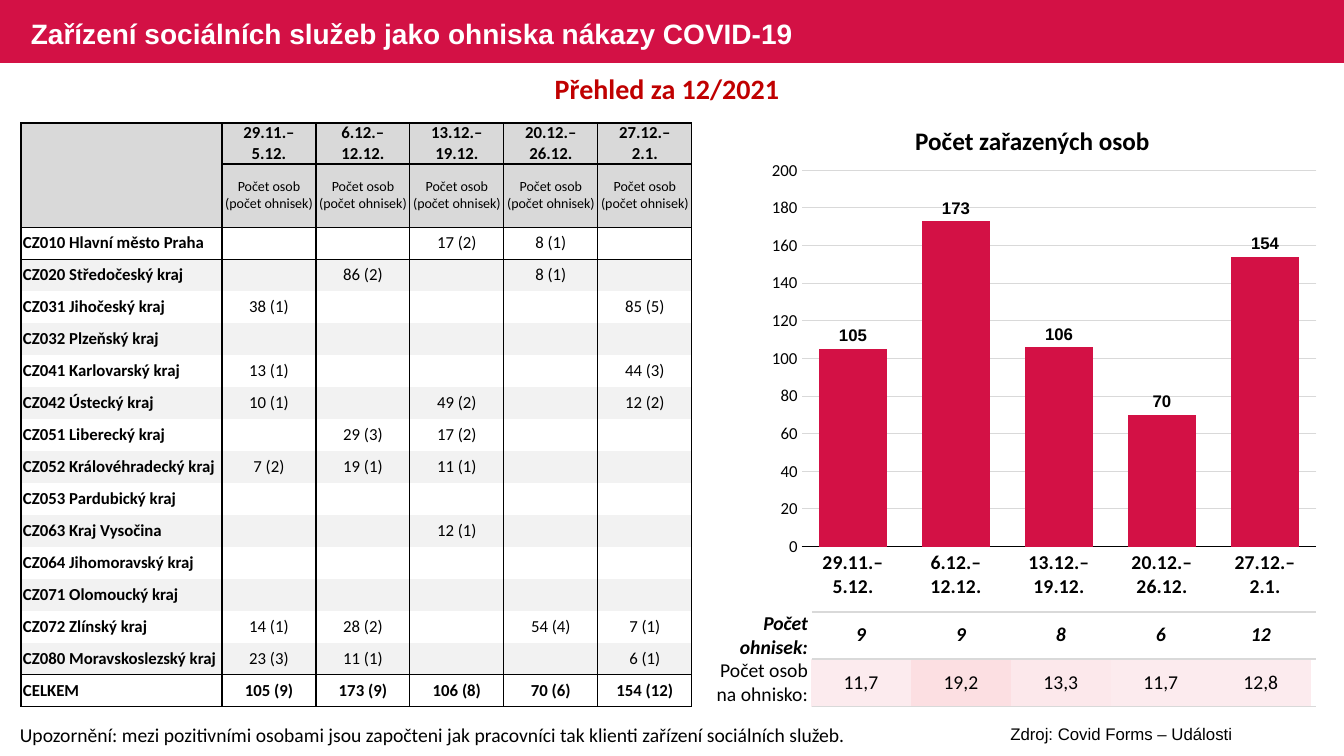
from lxml import etree
from pptx import Presentation
from pptx.chart.data import CategoryChartData
from pptx.dml.color import RGBColor
from pptx.enum.chart import XL_CHART_TYPE as CT, XL_LABEL_POSITION as LP, XL_TICK_MARK as TM
from pptx.enum.shapes import MSO_SHAPE
from pptx.enum.text import MSO_ANCHOR as ANCHOR, PP_ALIGN as AL
from pptx.oxml import parse_xml
from pptx.oxml.ns import nsdecls, qn
from pptx.util import Pt

PX = 914400 * 10 // 1008
RED = RGBColor(0xD3, 0x11, 0x45)
DARK_RED = RGBColor(0xC0, 0x00, 0x00)
BLACK = RGBColor(0x00, 0x00, 0x00)
WHITE = RGBColor(0xFF, 0xFF, 0xFF)
HEAD = RGBColor(0xD9, 0xD9, 0xD9)
BAND = RGBColor(0xF2, 0xF2, 0xF2)
PINK = RGBColor(0xFC, 0xEB, 0xEE)
PINK_MID = RGBColor(0xFC, 0xE8, 0xEB)
PINK_DEEP = RGBColor(0xFC, 0xDF, 0xE2)

prs = Presentation()
prs.slide_width, prs.slide_height = 12192000, 6858000
s = prs.slides.add_slide(prs.slide_layouts[6])


def add_grid(x, y, widths, heights):
    frame = s.shapes.add_table(len(heights), len(widths), x * PX, y * PX,
                               sum(widths) * PX, sum(heights) * PX)
    table = frame.table
    table.first_row = table.horz_banding = False
    table._tbl.tblPr.find(qn("a:tableStyleId")).text = "{2D5ABB26-0587-4C30-8999-92F81FD0307C}"
    for col, width in zip(table.columns, widths):
        col.width = width * PX
    for row, height in zip(table.rows, heights):
        row.height = height * PX
    return table


def write(cell, text, size, bold=False, italic=False, align=AL.CENTER,
          margins=(1, 1), fill=None, edges=None, edge_color=BLACK):
    cell.vertical_anchor = ANCHOR.MIDDLE
    cell.margin_left, cell.margin_right = margins[0] * PX, margins[1] * PX
    cell.margin_top = cell.margin_bottom = 0
    p = cell.text_frame.paragraphs[0]
    p.text = text
    p.alignment = align
    p.font.size, p.font.name = Pt(size), "Calibri"
    p.font.bold, p.font.italic = bold, italic
    p.font.color.rgb = BLACK
    if fill is None:
        cell.fill.background()
    else:
        cell.fill.solid()
        cell.fill.fore_color.rgb = fill
    tcPr = cell._tc.get_or_add_tcPr()
    sides = [side for side in "LRTB" if (edges or {}).get(side)]
    for i, side in enumerate(sides):
        tcPr.insert(i, parse_xml(
            f'<a:ln{side} {nsdecls("a")} w="{Pt(edges[side])}"><a:solidFill>'
            f'<a:srgbClr val="{edge_color}"/></a:solidFill></a:ln{side}>'))


band = s.shapes.add_shape(MSO_SHAPE.RECTANGLE, 0, 0, prs.slide_width, 63 * PX)
band.shadow.inherit = False
band.fill.solid()
band.fill.fore_color.rgb = RED
band.line.fill.background()

texts = [
    (21, 2, 820, 63, "Zařízení sociálních služeb jako ohniska nákazy COVID-19",
     20, "Arial", WHITE, True, AL.LEFT, ANCHOR.MIDDLE),
    (21, 67, 1292, 44, "Přehled za 12/2021",
     20, "Calibri", DARK_RED, True, AL.CENTER, ANCHOR.TOP),
    (762, 120, 541, 40, "Počet zařazených osob",
     18, "Calibri", BLACK, True, AL.CENTER, ANCHOR.TOP),
    (10, 718, 859, 34, "Upozornění: mezi pozitivními osobami jsou započteni jak pracovníci "
     "tak klienti zařízení sociálních služeb.",
     14, "Calibri", BLACK, False, AL.LEFT, ANCHOR.TOP),
    (910, 719, 423, 30, "Zdroj: Covid Forms – Události",
     12, "Arial", BLACK, False, AL.CENTER, ANCHOR.TOP),
]
for x, y, w, h, text, size, font, color, bold, align, anchor in texts:
    tf = s.shapes.add_textbox(x * PX, y * PX, w * PX, h * PX).text_frame
    tf.word_wrap = True
    tf.vertical_anchor = anchor
    p = tf.paragraphs[0]
    p.text = text
    p.alignment = align
    p.font.size, p.font.name, p.font.bold = Pt(size), font, bold
    p.font.color.rgb = color

weeks = ["29.11.–\n5.12.", "6.12.–\n12.12.", "13.12.–\n19.12.", "20.12.–\n26.12.", "27.12.–\n2.1."]
regions = [
    ("CZ010 Hlavní město Praha", "", "", "17 (2)", "8 (1)", ""),
    ("CZ020 Středočeský kraj", "", "86 (2)", "", "8 (1)", ""),
    ("CZ031 Jihočeský kraj", "38 (1)", "", "", "", "85 (5)"),
    ("CZ032 Plzeňský kraj", "", "", "", "", ""),
    ("CZ041 Karlovarský kraj", "13 (1)", "", "", "", "44 (3)"),
    ("CZ042 Ústecký kraj", "10 (1)", "", "49 (2)", "", "12 (2)"),
    ("CZ051 Liberecký kraj", "", "29 (3)", "17 (2)", "", ""),
    ("CZ052 Královéhradecký kraj", "7 (2)", "19 (1)", "11 (1)", "", ""),
    ("CZ053 Pardubický kraj", "", "", "", "", ""),
    ("CZ063 Kraj Vysočina", "", "", "12 (1)", "", ""),
    ("CZ064 Jihomoravský kraj", "", "", "", "", ""),
    ("CZ071 Olomoucký kraj", "", "", "", "", ""),
    ("CZ072 Zlínský kraj", "14 (1)", "28 (2)", "", "54 (4)", "7 (1)"),
    ("CZ080 Moravskoslezský kraj", "23 (3)", "11 (1)", "", "", "6 (1)"),
    ("CELKEM", "105 (9)", "173 (9)", "106 (8)", "70 (6)", "154 (12)"),
]
rows = [["", *weeks], [""] + ["Počet osob (počet ohnisek)"] * 5, *regions]
last = len(rows) - 1
table = add_grid(21, 123, [201] + [94] * 5, [41, 63] + [32] * len(regions))
for r, row in enumerate(rows):
    fill = HEAD if r < 2 else BAND if r % 2 and r < last else None
    for c, text in enumerate(row):
        rules = {0: 1, 1: 1 if c else 0, 2: 0.5, last: 1, last + 1: 1}
        write(table.cell(r, c), text, 10 if r == 1 else 12,
              bold=r in (0, last) or c == 0,
              align=AL.CENTER if c else AL.LEFT,
              margins=(1, 1) if c else (2, 2), fill=fill,
              edges={"L": 1, "R": 1, "T": rules.get(r), "B": rules.get(r + 1)})

data = CategoryChartData()
data.categories = weeks
data.add_series("Počet zařazených osob", (105, 173, 106, 70, 154))
chart = s.shapes.add_chart(CT.COLUMN_CLUSTERED, 762 * PX, 152 * PX, 566 * PX, 459 * PX, data).chart
chart.has_legend = chart.has_title = False
chart.font.name, chart.font.size, chart.font.bold = "Arial", Pt(14), True
chart.font.color.rgb = BLACK
plot = chart.plots[0]
plot.gap_width = 50
plot.vary_by_categories = False
bars = plot.series[0].format.fill
bars.solid()
bars.fore_color.rgb = RED
plot.has_data_labels = True
labels = plot.data_labels
labels.show_value = True
labels.position = LP.OUTSIDE_END
labels.font.name, labels.font.size, labels.font.bold = "Arial", Pt(12), True
labels.font.color.rgb = BLACK
for axis, size, bold in ((chart.category_axis, 14, True), (chart.value_axis, 12, False)):
    axis.major_tick_mark = axis.minor_tick_mark = TM.NONE
    font = axis.tick_labels.font
    font.name, font.size, font.bold = "Calibri", Pt(size), bold
    font.color.rgb = BLACK
chart.category_axis.format.line.color.rgb = BLACK
chart.category_axis.format.line.width = Pt(0.75)
values = chart.value_axis
values.minimum_scale, values.maximum_scale, values.major_unit = 0, 200, 20
values.format.line.fill.background()
values.major_gridlines.format.line.color.rgb = HEAD
values.major_gridlines.format.line.width = Pt(0.75)
area = chart._chartSpace.chart.plotArea
for old in area.findall(qn("c:layout")):
    area.remove(old)
layout = etree.Element(qn("c:layout"))
manual = etree.SubElement(layout, qn("c:manualLayout"))
for tag, val in (("layoutTarget", "inner"), ("xMode", "edge"), ("yMode", "edge"),
                 ("x", "0.07"), ("y", "0.04"), ("w", "0.91"), ("h", "0.82")):
    etree.SubElement(manual, qn("c:" + tag)).set("val", val)
area.insert(0, layout)

outbreaks = ["9", "9", "8", "6", "12"]
ratios = ["11,7", "19,2", "13,3", "11,7", "12,8"]
tints = [PINK, PINK_DEEP, PINK_MID, PINK, PINK]
summary = add_grid(811, 611, [100] * 5, [48, 48])
for c, (outbreak, ratio, tint) in enumerate(zip(outbreaks, ratios, tints)):
    write(summary.cell(0, c), outbreak, 14, bold=True, italic=True)
    write(summary.cell(1, c), ratio, 14, fill=tint)

captions = add_grid(710, 612, [102] + [72] * 7, [47, 47])
for r, caption in enumerate(["Počet ohnisek:", "Počet osob na ohnisko:"]):
    write(captions.cell(r, 0), caption, 14, bold=r == 0, italic=r == 0,
          align=AL.RIGHT, margins=(1, 4))
    for c in range(1, 8):
        write(captions.cell(r, c), "", 14, edges={"T": 1, "B": 1}, edge_color=HEAD)

prs.save("out.pptx")
